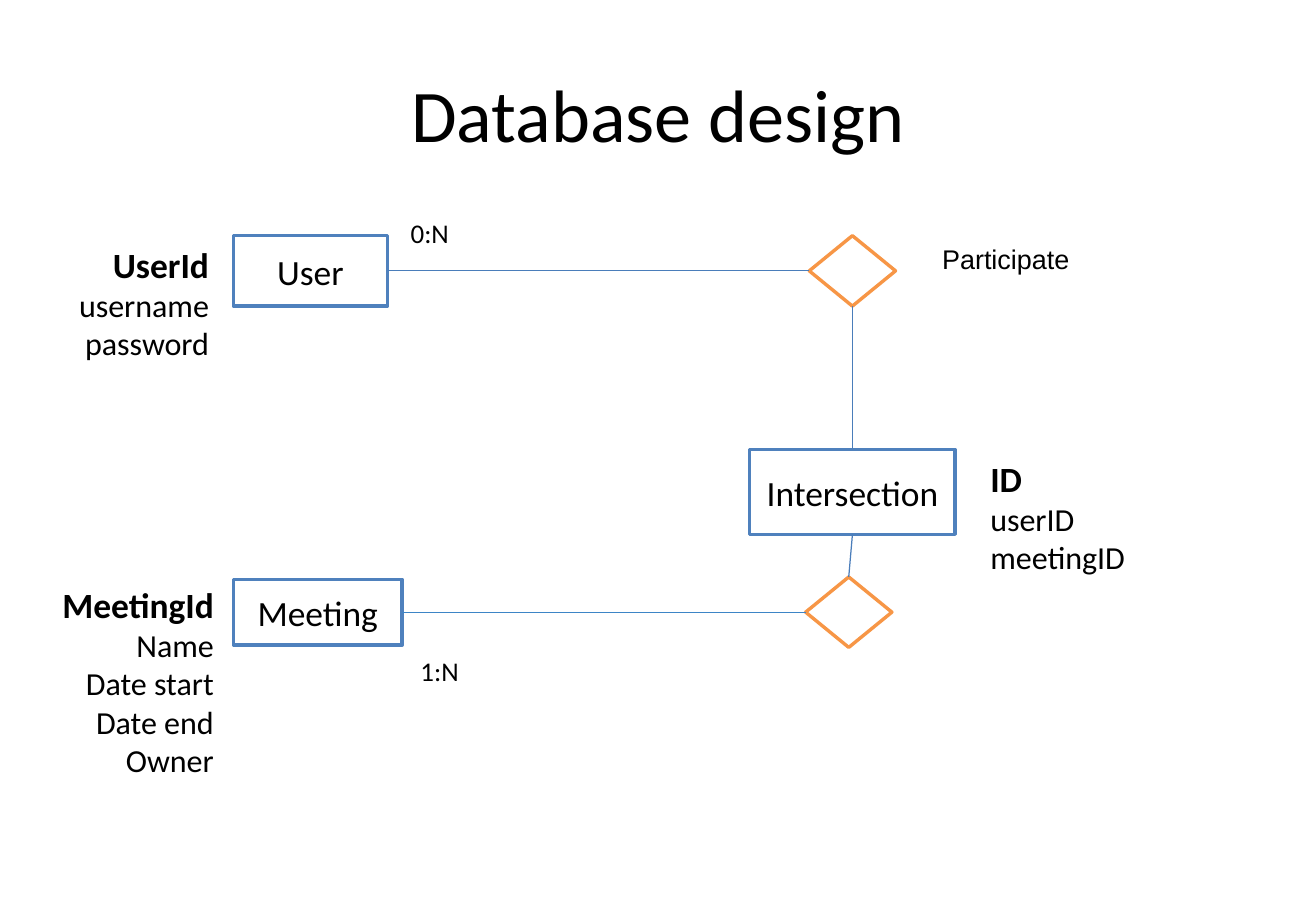
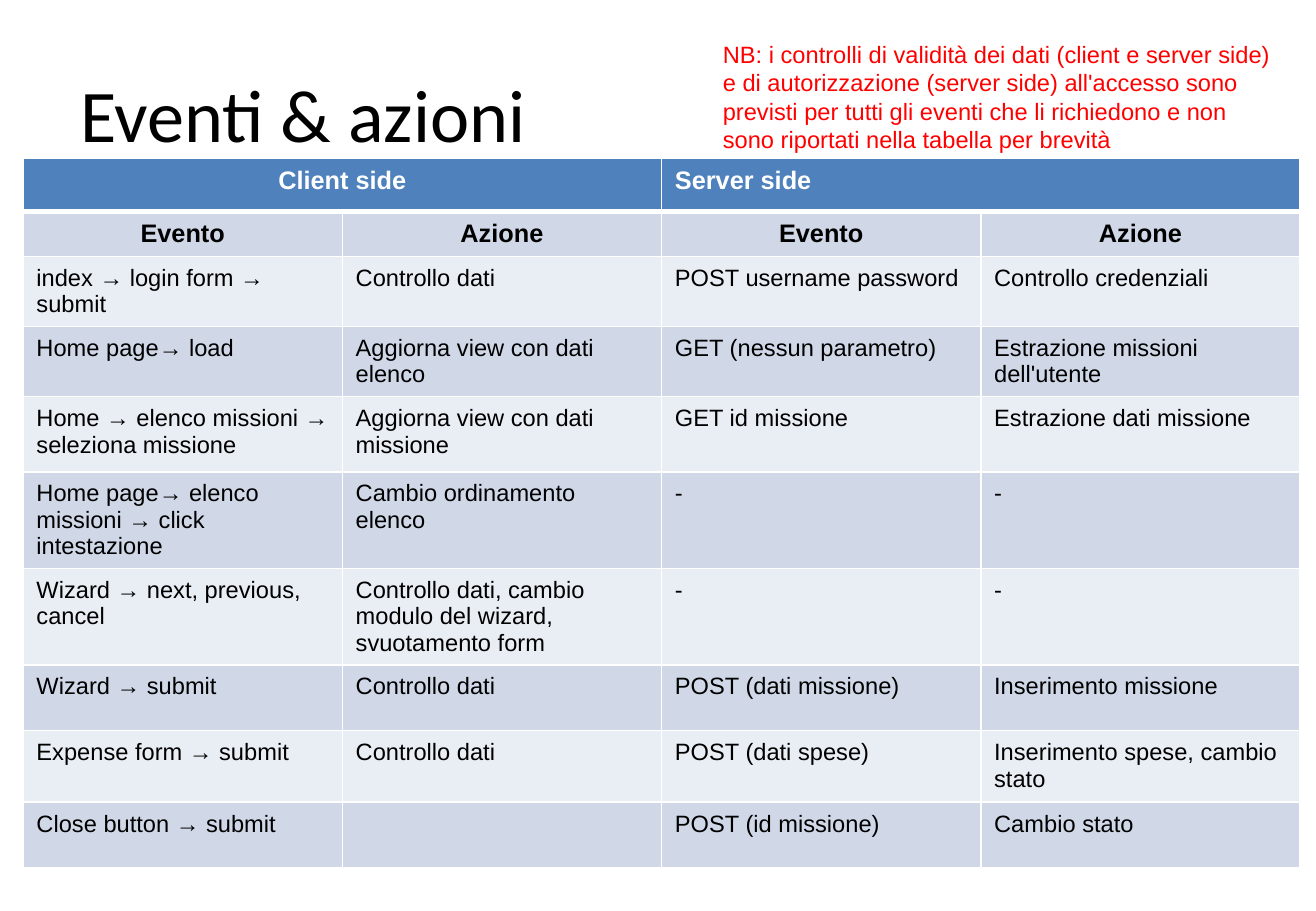
from lxml import etree
from pptx import Presentation
from pptx import util as u
from pptx.dml.color import RGBColor
from pptx.enum import shapes, text
from pptx.oxml import ns

PX = 9144
BLACK = RGBColor(0x00, 0x00, 0x00)
WHITE = RGBColor(0xFF, 0xFF, 0xFF)
RED = RGBColor(0xFF, 0x00, 0x00)
BLUE = RGBColor(0x4F, 0x81, 0xBD)
STEEL = RGBColor(0x4A, 0x7D, 0xBA)
SKY = RGBColor(0x3D, 0x85, 0xC6)
ORANGE = RGBColor(0xF7, 0x96, 0x46)
DARK = RGBColor(0xD0, 0xD8, 0xE8)
LIGHT = RGBColor(0xE9, 0xED, 0xF4)

LEFT, MID, RIGHT = text.PP_ALIGN.LEFT, text.PP_ALIGN.CENTER, text.PP_ALIGN.RIGHT
TOP, MIDDLE = text.MSO_ANCHOR.TOP, text.MSO_ANCHOR.MIDDLE
RECT, DIAMOND = shapes.MSO_SHAPE.RECTANGLE, shapes.MSO_SHAPE.DIAMOND
STRAIGHT, ELBOW = shapes.MSO_CONNECTOR.STRAIGHT, shapes.MSO_CONNECTOR.ELBOW

HEIGHTS = [44, 36, 50, 50, 62, 62, 62, 54, 59, 54]
ROWS = [
    ["Client side", "", "Server side", ""],
    ["Evento", "Azione", "Evento", "Azione"],
    ["index → login form → submit", "Controllo dati",
     "POST username password", "Controllo credenziali"],
    ["Home page→ load", "Aggiorna view con dati elenco",
     "GET (nessun parametro)", "Estrazione missioni dell'utente"],
    ["Home → elenco missioni → seleziona missione",
     "Aggiorna view con dati missione",
     "GET id missione", "Estrazione dati missione"],
    ["Home page→ elenco missioni → click intestazione",
     "Cambio ordinamento elenco", "-", "-"],
    ["Wizard → next, previous, cancel",
     "Controllo dati, cambio modulo del wizard, svuotamento form", "-", "-"],
    ["Wizard → submit", "Controllo dati",
     "POST (dati missione)", "Inserimento missione"],
    ["Expense form → submit", "Controllo dati",
     "POST (dati spese)", "Inserimento spese, cambio stato"],
    ["Close button → submit", "", "POST (id missione)", "Cambio stato"],
]
NOTE = ("NB: i controlli di validità dei dati (client e server side) e di "
        "autorizzazione (server side) all'accesso sono previsti per tutti gli "
        "eventi che li richiedono e non sono riportati nella tabella per brevità")


def assign(item, **values):
    """Set every named attribute of an object."""
    for key, value in values.items():
        setattr(item, key, value)


def emu(*sizes):
    """Turn px lengths into EMU."""
    return [u.Emu(round(size * PX)) for size in sizes]


def shift(box, part):
    """Place a part's box relative to an outer box."""
    return part[0] + box[0], part[1] + box[1], part[2], part[3]


def pad(item, wide, high):
    """Set the four text margins of a frame or cell."""
    across, down = emu(wide, high)
    assign(item, margin_left=across, margin_right=across,
           margin_top=down, margin_bottom=down)


def style(par, words, size, align=LEFT, face="Calibri", color=BLACK, bold=False):
    """Fill a paragraph with one formatted run."""
    par.alignment = align
    run = par.add_run()
    run.text = words
    assign(run.font, size=u.Pt(size), name=face, bold=bold)
    run.font.color.rgb = color


def label(slide, box, words, size, wide=12, high=6, **look):
    """Add a wrapped text box with one paragraph."""
    frame = slide.shapes.add_textbox(*emu(*box)).text_frame
    assign(frame, word_wrap=True, vertical_anchor=TOP)
    pad(frame, wide, high)
    style(frame.paragraphs[0], words, size, **look)
    return frame


def fields(slide, box, names, align):
    """List a bold key and its plain attributes."""
    frame = label(slide, box, names[0], 21, align=align, bold=True)
    for name in names[1:]:
        style(frame.add_paragraph(), name, 19, align)


def node(slide, box, kind, color, words=""):
    """Add an outlined white shape, with its name if any."""
    shape = slide.shapes.add_shape(kind, *emu(*box))
    shape.shadow.inherit = False
    shape.fill.solid()
    shape.fill.fore_color.rgb = WHITE
    shape.line.color.rgb = color
    shape.line.width = u.Pt(2)
    frame = shape.text_frame
    assign(frame, word_wrap=True, vertical_anchor=MIDDLE)
    pad(frame, 12, 6)
    if words:
        style(frame.paragraphs[0], words, 21, MID)
    return shape


def link(slide, start, out, end, into, kind=STRAIGHT, color=STEEL):
    """Join two shapes at the given sides."""
    line = slide.shapes.add_connector(kind, 0, 0, 0, 0)
    line.begin_connect(start, out)
    line.end_connect(end, into)
    line.line.color.rgb = color
    line.line.width = u.Pt(0.75)
    etree.SubElement(line._element.spPr, ns.qn("a:effectLst"))


def page(deck, words, align):
    """Add a slide with the shared title style."""
    slide = deck.slides.add_slide(deck.slide_layouts[5])
    title = slide.shapes.title
    left, top, width, height = emu(54, 30, 975, 125)
    assign(title, left=left, top=top, width=width, height=height)
    frame = title.text_frame
    assign(frame, word_wrap=True, vertical_anchor=MIDDLE)
    pad(frame, 12, 6)
    style(frame.paragraphs[0], words, 44, align)
    return slide


def schema(slide, box):
    """Draw the entities, relations and attributes."""
    user, cross, meet = [
        node(slide, shift(box, part), RECT, BLUE, name) for name, part in (
            ("User", (187, 22, 127, 58)),
            ("Intersection", (612, 198, 169, 70)),
            ("Meeting", (187, 305, 139, 54)))]
    upper, lower = [
        node(slide, shift(box, (x, y, 71, 58)), DIAMOND, ORANGE)
        for x, y in ((661, 22), (658, 303))]
    link(slide, user, 3, upper, 1)
    link(slide, upper, 2, cross, 0)
    link(slide, lower, 0, cross, 2)
    link(slide, meet, 3, lower, 1, ELBOW, SKY)
    for part, names, align in (
            ((20, 22, 159, 119), ["UserId", "username", "password"], RIGHT),
            ((0, 302, 183, 167),
             ["MeetingId", "Name", "Date start", "Date end", "Owner"], RIGHT),
            ((798, 198, 176, 107), ["ID", "userID", "meetingID"], LEFT)):
        fields(slide, shift(box, part), names, align)
    label(slide, shift(box, (321, 0, 67, 34)), "0:N", 16)
    label(slide, shift(box, (329, 361, 61, 40)), "1:N", 16)
    label(slide, shift(box, (739, 22, 148, 37)), "Participate", 16,
          align=RIGHT, face="Arial")


def border(cell, base):
    """Give a cell white edges, with its own bottom width."""
    props = cell._tc.get_or_add_tcPr()
    for spot, side in enumerate("LRTB"):
        wide = base if side == "B" else 1
        edge = etree.Element(ns.qn("a:ln" + side), w=str(u.Pt(wide)))
        fill = etree.SubElement(edge, ns.qn("a:solidFill"))
        etree.SubElement(fill, ns.qn("a:srgbClr"), val=str(WHITE))
        props.insert(spot, edge)


def events(slide, box):
    """Build the table of events and actions."""
    grid = slide.shapes.add_table(len(ROWS), len(ROWS[0]), *emu(*box)).table
    for col in grid.columns:
        col.width = emu(box[2] / len(ROWS[0]))[0]
    for y, (row, high) in enumerate(zip(ROWS, HEIGHTS)):
        grid.rows[y].height = emu(high)[0]
        for x, words in enumerate(row):
            cell = grid.cell(y, x)
            pad(cell, 11, 7)
            cell.fill.solid()
            cell.fill.fore_color.rgb = (DARK if y % 2 else LIGHT) if y else BLUE
            border(cell, 1 if y else 3)
            if words:
                head = y < 2
                style(cell.text_frame.paragraphs[0], words, 15 if head else 14,
                      MID if y == 1 or (y, x) == (0, 0) else LEFT,
                      "Arial", BLACK if y else WHITE, head)
    for x in (0, 2):
        grid.cell(0, x).merge(grid.cell(0, x + 1))


def main():
    """Build and save both slides."""
    deck = Presentation()
    wide, high = emu(1083, 750)
    assign(deck, slide_width=wide, slide_height=high)
    schema(page(deck, "Database design", MID), (5, 172, 974, 469))
    slide = page(deck, "Eventi & azioni", LEFT)
    events(slide, (19, 130, 1051, 600))
    label(slide, (585, 28, 475, 104), NOTE, 14, 10, 5, face="Arial", color=RED)
    deck.save("out.pptx")


if __name__ == "__main__":
    main()
